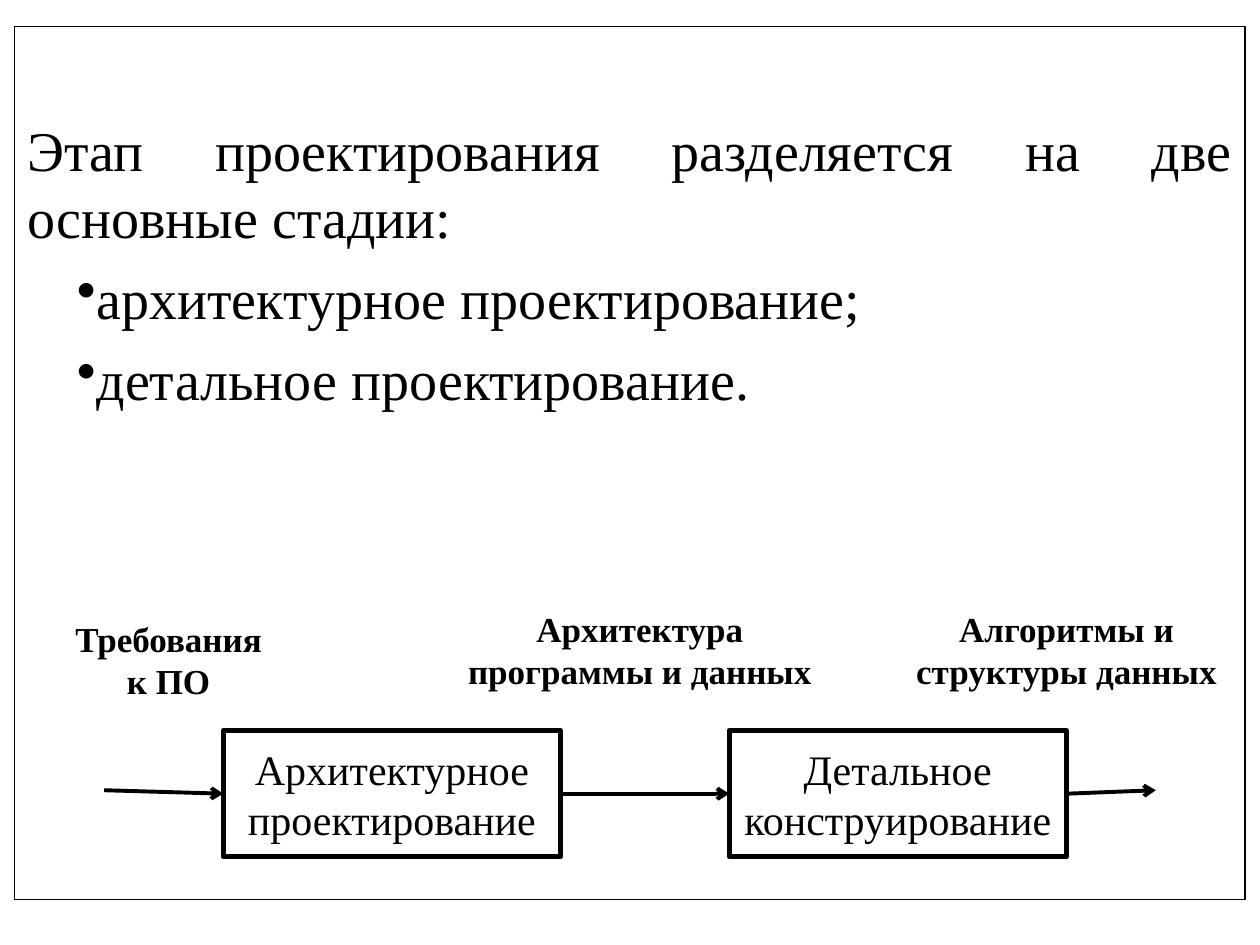
import pptx
import pptx.dml.color
import pptx.enum.shapes
import pptx.enum.text
import pptx.oxml
import pptx.oxml.ns
import pptx.util

Cm = pptx.util.Cm
Pt = pptx.util.Pt
ALIGN = pptx.enum.text.PP_ALIGN
ANCHOR = pptx.enum.text.MSO_ANCHOR
BLACK = "000000"
WHITE = "FFFFFF"


def color(value):
    """Turn a hex string into a colour."""
    return pptx.dml.color.RGBColor.from_string(value)


def add_element(parent, tag, **attributes):
    """Append a DrawingML element with the given attributes."""
    element = pptx.oxml.parse_xml(f"<a:{tag} {pptx.oxml.ns.nsdecls('a')}/>")
    for name, value in attributes.items():
        element.set(name, value)
    parent.append(element)
    return element


def apply_format(target, values):
    """Set every attribute of a format dict on the target."""
    for name, value in values.items():
        setattr(target, name, value)


def write_paragraph(para, text, size, bold=False, **values):
    """Fill one paragraph with formatted text."""
    apply_format(para, values)
    span = para.add_run()
    span.text = text
    apply_format(span.font, {"name": "Times New Roman", "size": Pt(size), "bold": bold})
    span.font.color.rgb = color(BLACK)


def add_bullet(para):
    """Give a paragraph a round bullet and a first-line indent."""
    properties = para._p.get_or_add_pPr()
    properties.set("marL", "0")
    properties.set("indent", str(Cm(1)))
    bullet_color = add_element(properties, "buClr")
    add_element(bullet_color, "srgbClr", val=BLACK)
    add_element(properties, "buChar", char="•")


def add_rectangle(page, left, top, width, height, line_width, fill=None):
    """Draw an outlined rectangle."""
    kind = pptx.enum.shapes.MSO_SHAPE.RECTANGLE
    box = page.shapes.add_shape(kind, Cm(left), Cm(top), Cm(width), Cm(height))
    box.shadow.inherit = False
    if fill:
        box.fill.solid()
        box.fill.fore_color.rgb = color(fill)
    else:
        box.fill.background()
    box.line.color.rgb = color(BLACK)
    box.line.width = Pt(line_width)
    box.text_frame.word_wrap = True
    return box


def add_overview(page):
    """Draw the slide frame with the introduction and the list of stages."""
    frame = add_rectangle(page, 0.3, 0.53, 24.8, 17.6, 0.75).text_frame
    apply_format(frame, {"vertical_anchor": ANCHOR.TOP, "margin_top": Cm(1.79)})
    introduction = "Этап проектирования разделяется на две основные стадии:"
    write_paragraph(frame.paragraphs[0], introduction, 32, alignment=ALIGN.JUSTIFY)
    for stage in ("архитектурное проектирование;", "детальное проектирование."):
        para = frame.add_paragraph()
        para.space_before = Pt(8)
        add_bullet(para)
        write_paragraph(para, stage, 32, alignment=ALIGN.JUSTIFY)


def add_stage(page, left, text):
    """Draw one design stage of the flow."""
    box = add_rectangle(page, left, 14.73, 6.8, 2.54, 3, WHITE)
    box.text_frame.vertical_anchor = ANCHOR.MIDDLE
    write_paragraph(box.text_frame.paragraphs[0], text, 24, alignment=ALIGN.CENTER)
    return box


def add_arrow(page, source=None, target=None, start=0, end=0):
    """Draw an arrow between stages, or to and from a free point."""
    kind = pptx.enum.shapes.MSO_CONNECTOR.STRAIGHT
    level = Cm(15.93)
    arrow = page.shapes.add_connector(kind, Cm(start), level, Cm(end), level)
    if source:
        arrow.begin_connect(source, 3)
    if target:
        arrow.end_connect(target, 1)
    arrow.line.color.rgb = color(BLACK)
    arrow.line.width = Pt(2.25)
    add_element(arrow.line._get_or_add_ln(), "tailEnd", type="arrow")
    add_element(arrow._element.spPr, "effectLst")


def add_label(page, left, top, width, lines):
    """Write a bold centred label above an arrow."""
    box = page.shapes.add_textbox(Cm(left), Cm(top), Cm(width), Cm(1.96))
    frame = box.text_frame
    frame.word_wrap = True
    for index, line in enumerate(lines):
        para = frame.add_paragraph() if index else frame.paragraphs[0]
        write_paragraph(para, line, 20, bold=True, alignment=ALIGN.CENTER)


def main():
    """Build the slide about the design stages."""
    deck = pptx.Presentation()
    apply_format(deck, {"slide_width": Cm(25.4), "slide_height": Cm(19.05)})
    page = deck.slides.add_slide(deck.slide_layouts[6])
    add_overview(page)
    architecture = add_stage(page, 4.5, "Архитектурное проектирование")
    detail = add_stage(page, 14.7, "Детальное конструирование")
    add_arrow(page, target=architecture, start=2.1)
    add_arrow(page, source=architecture, target=detail)
    add_arrow(page, source=detail, end=23.3)
    add_label(page, 1.1, 12.32, 4.6, ("Требования", "к ПО"))
    add_label(page, 9.1, 12.12, 7.6, ("Архитектура", "программы и данных"))
    add_label(page, 18.1, 12.12, 6.8, ("Алгоритмы и", "структуры данных"))
    deck.save("out.pptx")


if __name__ == "__main__":
    main()
